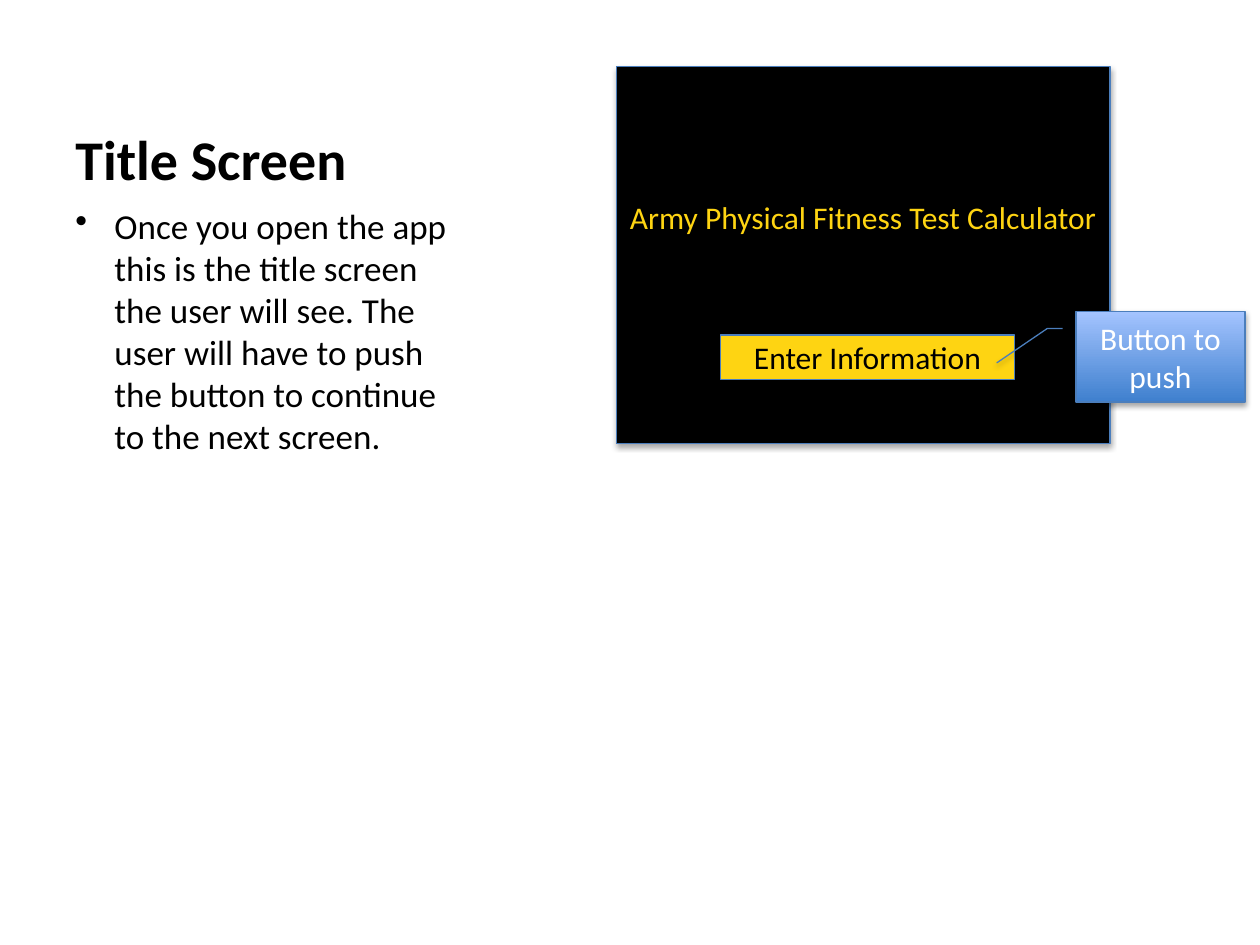
"""Build the Title Screen slide of an app walkthrough."""
import pptx
import pptx.dml.color
import pptx.enum.shapes
import pptx.enum.text
import pptx.oxml
import pptx.oxml.ns
import pptx.util
from pptx.util import Inches

RGBColor = pptx.dml.color.RGBColor
MSO_SHAPE = pptx.enum.shapes.MSO_SHAPE
PP_ALIGN = pptx.enum.text.PP_ALIGN
MSO_ANCHOR = pptx.enum.text.MSO_ANCHOR

BLACK = RGBColor(0x00, 0x00, 0x00)
WHITE = RGBColor(0xFF, 0xFF, 0xFF)
GOLD = RGBColor(0xFE, 0xD4, 0x12)
OUTLINE = RGBColor(0x4B, 0x7E, 0xBC)
DEEP_BLUE = RGBColor(0x3F, 0x80, 0xCE)
PALE_BLUE = RGBColor(0xA4, 0xC4, 0xFF)

FONT = "Calibri"
TITLE = "Title Screen"
DESCRIPTION = (
    "Once you open the app this is the title screen the user will see. "
    "The user will have to push the button to continue to the next screen."
)
MOCKUP = [
    ("Army Physical Fitness Test Calculator", MSO_SHAPE.RECTANGLE,
     (4.89, 0.53, 3.92, 2.99), [BLACK], GOLD),
    ("Enter Information", MSO_SHAPE.RECTANGLE,
     (5.72, 2.66, 2.33, 0.35), [GOLD], BLACK),
    ("Button to push", MSO_SHAPE.LINE_CALLOUT_2,
     (8.54, 2.47, 1.34, 0.72), [DEEP_BLUE, PALE_BLUE], WHITE),
]
CALLOUT_POINTS = (0.19, -0.08, 0.19, -0.17, 0.57, -0.47)
HEADING_LIFT = 0.66
BULLET_INDENT = 0.31

SHADOW = (
    '<a:outerShdw {} blurRad="40000" dist="23000" dir="5400000" rotWithShape="0">'
    '<a:srgbClr val="000000"><a:alpha val="35000"/></a:srgbClr></a:outerShdw>'
).format(pptx.oxml.ns.nsdecls("a"))
BULLET = '<a:buChar {} char="•"/>'.format(pptx.oxml.ns.nsdecls("a"))


def write(box, text, size, color, bold=False, align=PP_ALIGN.LEFT,
          anchor=MSO_ANCHOR.TOP):
    frame = box.text_frame
    frame.word_wrap = True
    frame.vertical_anchor = anchor
    frame.text = text
    para = frame.paragraphs[0]
    para.alignment = align
    font = para.runs[0].font
    font.name, font.size, font.bold = FONT, pptx.util.Pt(size), bold
    font.color.rgb = color
    return para


def add_panel(page, text, kind, place, shades, color):
    panel = page.shapes.add_shape(kind, *map(Inches, place))
    if len(shades) > 1:
        panel.fill.gradient()
        panel.fill.gradient_angle = 90
        for stop, shade in zip(panel.fill.gradient_stops, shades):
            stop.color.rgb = shade
    else:
        panel.fill.solid()
        panel.fill.fore_color.rgb = shades[0]
    panel.line.color.rgb = OUTLINE
    panel.line.width = pptx.util.Pt(0.75)
    panel.shadow.inherit = False
    effects = panel._element.spPr.find(pptx.oxml.ns.qn("a:effectLst"))
    effects.append(pptx.oxml.parse_xml(SHADOW))
    write(panel, text, 18, color, align=PP_ALIGN.CENTER, anchor=MSO_ANCHOR.MIDDLE)
    return panel


def main():
    deck = pptx.Presentation()
    deck.slide_width, deck.slide_height = Inches(10), Inches(7.5)
    page = deck.slides.add_slide(deck.slide_layouts[6])

    title = page.shapes.add_textbox(*map(Inches, (0.5, 0.3, 3.29, 1.27)))
    write(title, TITLE, 32, BLACK, bold=True, anchor=MSO_ANCHOR.BOTTOM)

    body = page.shapes.add_textbox(*map(Inches, (0.5, 1.57, 3.29, 5.13)))
    para = write(body, DESCRIPTION, 20, BLACK)
    para.space_before = pptx.util.Pt(4)
    properties = para._p.get_or_add_pPr()
    properties.set("marL", str(Inches(BULLET_INDENT)))
    properties.set("indent", str(-Inches(BULLET_INDENT)))
    properties.append(pptx.oxml.parse_xml(BULLET))

    screen, button, callout = [add_panel(page, *item) for item in MOCKUP]
    screen.text_frame.margin_bottom = Inches(HEADING_LIFT)
    for index, value in enumerate(CALLOUT_POINTS):
        callout.adjustments[index] = value

    deck.save("out.pptx")


if __name__ == "__main__":
    main()
